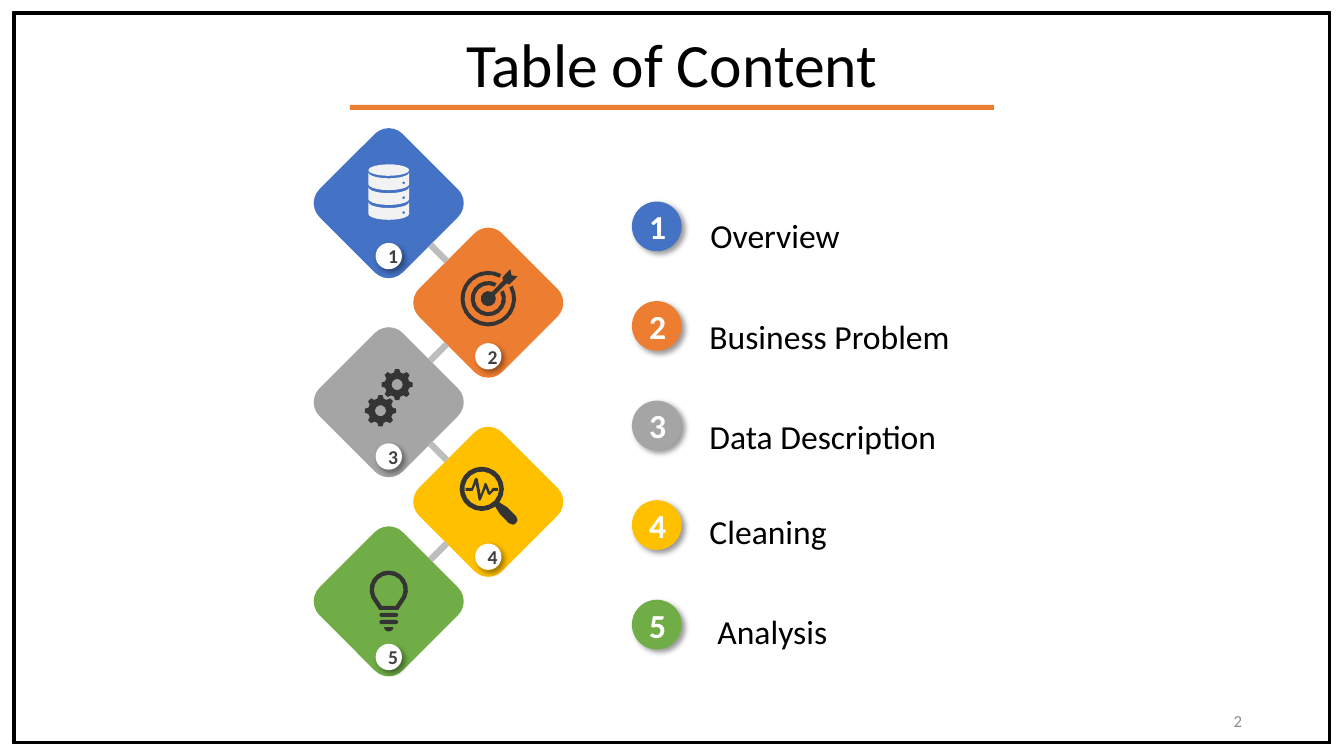
from math import cos, radians, sin

from lxml import etree
from pptx import Presentation
from pptx.dml.color import RGBColor
from pptx.enum.shapes import MSO_CONNECTOR, MSO_SHAPE
from pptx.enum.text import MSO_ANCHOR, PP_ALIGN
from pptx.oxml.ns import qn
from pptx.util import Pt

LINE = MSO_CONNECTOR.STRAIGHT
OVAL, RECT, FRAME = MSO_SHAPE.OVAL, MSO_SHAPE.RECTANGLE, MSO_SHAPE.FRAME
ROUND = MSO_SHAPE.ROUNDED_RECTANGLE
TOP, MIDDLE = MSO_ANCHOR.TOP, MSO_ANCHOR.MIDDLE
LEFT, CENTER, RIGHT = PP_ALIGN.LEFT, PP_ALIGN.CENTER, PP_ALIGN.RIGHT
BLACK = RGBColor(0x00, 0x00, 0x00)
WHITE = RGBColor(0xFF, 0xFF, 0xFF)
INK = RGBColor(0x34, 0x34, 0x34)
DARK = RGBColor(0x3F, 0x3F, 0x3F)
PALE = RGBColor(0xF2, 0xF2, 0xF2)
MIST = RGBColor(0xBD, 0xBD, 0xBD)
GRAY = RGBColor(0x8C, 0x8C, 0x8C)
BLUE = RGBColor(0x44, 0x72, 0xC4)
ORANGE = RGBColor(0xED, 0x7D, 0x31)
SILVER = RGBColor(0xA5, 0xA5, 0xA5)
GOLD = RGBColor(0xFF, 0xC0, 0x00)
GREEN = RGBColor(0x70, 0xAD, 0x47)
HUES = [BLUE, ORANGE, SILVER, GOLD, GREEN]
STEP = 71.1
ARROW = [(16.6, -16.6), (15.8, -20.9), (10.1, -15.1), (10.8, -13), (2.2, -4.3),
         (4.3, -2.2), (13, -10.8), (15.1, -10.1), (20.9, -15.8)]
HANDLE = [(9.4, 12.2), (13, 18), (19.4, 24.5), (22.3, 25.6), (24.5, 24.5),
          (25.6, 22.3), (24.5, 19.4), (18, 13), (12.2, 9.4)]
WAVE = [(11.5, -0.7), (7.9, -0.7), (5.8, 2.2), (3.6, -3.6), (2.2, -4.3), (-0.7, 4.3),
        (-2.9, -7.2), (-4, -7.9), (-5, -7.2), (-7.2, -0.7), (-11.5, -0.7), (-11.5, 1.4),
        (-6.5, 1.4), (-4.3, -3.6), (-2.2, 7.9), (-1.4, 8.6), (-0.7, 7.9),
        (2.9, -0.7), (4.3, 3.6), (5.8, 4.3), (8.6, 1.4), (11.5, 1.4)]


def write(shape, text, size, color, align, anchor, bold=False):
    """Put one run of text in a shape and return its paragraph."""
    frame = shape.text_frame
    frame.word_wrap = True
    frame.vertical_anchor = anchor
    para = frame.paragraphs[0]
    para.alignment = align
    run = para.add_run()
    run.text = text
    font = run.font
    font.name, font.size, font.bold = "Calibri", Pt(size), bold
    font.color.rgb = color
    return para


def paint(shape, color):
    """Give a shape a flat fill with no line or shadow."""
    shape.fill.solid()
    shape.fill.fore_color.rgb = color
    shape.line.fill.background()
    shape.shadow.inherit = False


def block(slide, kind, x, y, w, h, color):
    """Add a flat preset shape."""
    shape = slide.shapes.add_shape(kind, Pt(x), Pt(y), Pt(w), Pt(h))
    paint(shape, color)
    return shape


def badge(slide, x, y, wide, fill, text, size, color):
    """Add a round number badge with a soft shadow."""
    shape = block(slide, OVAL, x, y, wide, wide, fill)
    glow = etree.SubElement(shape._element.spPr.find(qn("a:effectLst")), qn("a:outerShdw"),
                            blurRad=str(Pt(4)), dist=str(Pt(3)), dir="2700000",
                            algn="tl", rotWithShape="0")
    tint = etree.SubElement(glow, qn("a:srgbClr"), val="000000")
    etree.SubElement(tint, qn("a:alpha"), val="40000")
    write(shape, text, size, color, CENTER, MIDDLE, True)


def draw(slide, x, y, paths, color=INK):
    """Fill closed paths whose points are measured from x, y."""
    spots = [[(Pt(x + a), Pt(y + b)) for a, b in path] for path in paths]
    pen = slide.shapes.build_freeform(*spots[0][0])
    for turn, path in enumerate(spots):
        if turn:
            pen.move_to(*path[0])
        pen.add_line_segments(path[1:], close=True)
    paint(pen.convert_to_shape(), color)


def spot(x, y, wide, high, angle):
    """Return the point of an ellipse at an angle going up from the right."""
    turn = radians(angle)
    return x + wide * cos(turn), y - high * sin(turn)


def arc(x, y, wide, high, start=0, end=360):
    """Return points along an arc, more of them on larger ones."""
    count = max(4, round(abs(end - start) / 360 * (6 + wide * 0.9)))
    return [spot(x, y, wide, high, start + (end - start) * i / count)
            for i in range(count + 1)]


def store(slide, x, y):
    """Draw the data drum around a centre."""
    paths = [arc(0, -23.6, 14.6, 4.1)]
    for i in range(3):
        top = -22 + 10.6 * i
        paths.append(arc(0, top, 14.6, 4.3, 180, 360)
                     + arc(0, top + 8.4, 14.6, 4.3, 360, 180))
        paths.append(arc(10.7, top + 7.5, 1, 1))
    draw(slide, x, y, paths, PALE)


def target(slide, x, y):
    """Draw the target and its arrow around a centre."""
    rings = [arc(0, 0, far, far, 62, 388) + arc(0, 0, near, near, 388, 62)
             for far, near in [(19.8, 17), (12.6, 9.7)]]
    draw(slide, x, y - 2.9, rings + [arc(0, 0, 5.4, 5.4)])
    draw(slide, x, y - 2.9, [ARROW])


def gears(slide, x, y):
    """Draw two gears around a centre."""
    paths = []
    for dx, dy in [(6, -12.6), (-5.9, 6.1)]:
        paths.append([spot(dx, dy, reach, reach, turn + shift)
                      for turn in range(0, 360, 45)
                      for shift, reach in [(-15, 8.9), (-7.5, 11.2), (7.5, 11.2), (15, 8.9)]])
        paths.append(arc(dx, dy, 4, 4))
    draw(slide, x, y, paths)


def lens(slide, x, y):
    """Draw the magnifier around a centre."""
    x, y = x - 4.7, y - 9.2
    draw(slide, x, y, [arc(0, 0, 15.8, 15.8), arc(0, 0, 12.4, 12.4), WAVE])
    draw(slide, x, y, [HANDLE])


def bulb(slide, x, y):
    """Draw the light bulb around a centre."""
    paths = [arc(0, -8.3, 13.7, 13.7, -25, 205) + [(-6.8, 6.1), (6.8, 6.1)],
             arc(0, -8.3, 10.6, 10.6, -25, 205) + [(-5, 3.2), (5, 3.2)],
             arc(0, 18.4, 3.4, 3.2, 180, 360)]
    for mid in [9.7, 14.8]:
        paths.append(arc(5.2, mid, 1.5, 1.5, -90, 90) + arc(-5.2, mid, 1.5, 1.5, 90, 270))
    draw(slide, x, y, paths)


def chain(slide, x, y):
    """Place the linked tiles, with x, y as centre of the first."""
    side, reach = 84, 84 / 8 ** 0.5
    mids = [(x + STEP * (i % 2), y + STEP * i) for i in range(len(HUES))]
    tiles = []
    for (cx, cy), hue in zip(mids, HUES):
        tile = block(slide, ROUND, cx - side / 2, cy - side / 2, side, side, hue)
        tile.adjustments[0] = 0.167
        tile.rotation = 315
        tiles.append(tile)
    for i in range(len(tiles) - 1):
        (ax, ay), (bx, by) = mids[i:i + 2]
        way = -1 if i % 2 else 1
        link = slide.shapes.add_connector(LINE, 0, 0, 0, 0)
        link.begin_connect(tiles[i], 1 if i % 2 else 2)
        link.end_connect(tiles[i + 1], 3 if i % 2 else 0)
        link.begin_x, link.begin_y = Pt(ax + way * reach), Pt(ay + reach)
        link.end_x, link.end_y = Pt(bx - way * reach), Pt(by - reach)
        link.line.color.rgb = MIST
        link.line.width = Pt(4.5)
        etree.SubElement(link._element.spPr, qn("a:effectLst"))
    for i, (cx, cy) in enumerate(mids):
        badge(slide, cx - 9.4, y + 28.4 + 71.6 * i, 18.8, WHITE, str(i + 1), 14, DARK)
    for icon, mid in zip([store, target, gears, lens, bulb], mids):
        icon(slide, *mid)


def topics(slide, x, y):
    """Place the numbered topics, with x, y as corner of the first badge."""
    rows = [("Overview", 49, -8.6), ("Business Problem", 48.3, 63.4),
            ("Data Description", 48.3, 135.4), ("Cleaning", 48.3, 203),
            ("Analysis", 54, 274.3)]
    for i, (text, dx, dy) in enumerate(rows):
        badge(slide, x, y + STEP * i, 35.5, HUES[i], str(i + 1), 24, WHITE)
        label = slide.shapes.add_textbox(Pt(x + dx), Pt(y + dy), Pt(280), Pt(51))
        write(label, text, 24, BLACK, LEFT, TOP).line_spacing = 1.5


def page(slide, x, y, w, h):
    """Place the border, title, rule and page number in a box."""
    edge = block(slide, FRAME, x, y, w, h, BLACK)
    edge.adjustments[0] = 0.003
    edge.line.color.rgb = BLACK
    edge.line.width = Pt(1)
    title = slide.shapes.title
    title.left, title.top, title.width, title.height = Pt(x), Pt(y + 6.5), Pt(w), Pt(60.5)
    write(title, "Table of Content", 44, BLACK, CENTER, TOP)
    block(slide, RECT, x + (w - 460) / 2, y + 66.3, 460, 3.6, ORANGE)
    number = slide.shapes.add_textbox(Pt(x + w - 272), Pt(y + h - 31), Pt(216), Pt(28.8))
    write(number, "2", 12, GRAY, RIGHT, MIDDLE)


def main():
    """Build and save the deck."""
    deck = Presentation()
    deck.slide_width, deck.slide_height = Pt(960), Pt(540)
    slide = deck.slides.add_slide(deck.slide_layouts[5])
    chain(slide, 277.7, 145.1)
    topics(slide, 451.4, 144)
    page(slide, 9.4, 8.6, 941, 522.7)
    deck.save("out.pptx")


if __name__ == "__main__":
    main()
